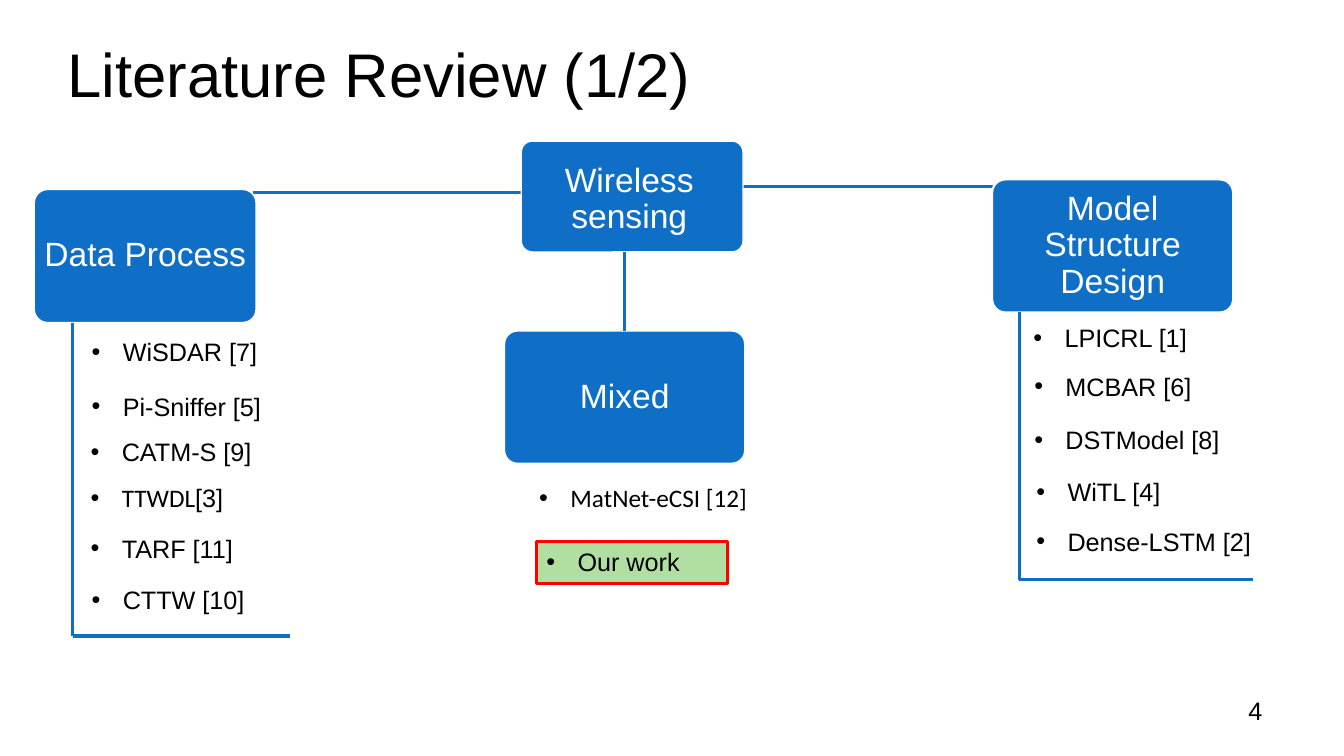
from lxml import etree
from pptx import Presentation
from pptx.dml.color import RGBColor
from pptx.enum.shapes import MSO_CONNECTOR, MSO_SHAPE
from pptx.enum.text import MSO_ANCHOR, MSO_AUTO_SIZE, PP_ALIGN
from pptx.oxml.ns import qn
from pptx.util import Inches, Pt

STRAIGHT = MSO_CONNECTOR.STRAIGHT
ROUNDED, RECTANGLE = MSO_SHAPE.ROUNDED_RECTANGLE, MSO_SHAPE.RECTANGLE
TOP, MIDDLE = MSO_ANCHOR.TOP, MSO_ANCHOR.MIDDLE
GROW = MSO_AUTO_SIZE.SHAPE_TO_FIT_TEXT
LEFT, CENTER, RIGHT = PP_ALIGN.LEFT, PP_ALIGN.CENTER, PP_ALIGN.RIGHT
BLUE, GREEN, RED, WHITE, BLACK = "0F6FC6", "B0DFA1", "FF0000", "FFFFFF", "000000"
BULLET_INDENT = Inches(0.31)
ITEM_HEIGHT = 0.4


def color(hex_value):
    return RGBColor.from_string(hex_value)


def add_run(paragraph, text, size, hex_value=BLACK, font="Arial"):
    run = paragraph.add_run()
    run.text = text
    run.font.name = font
    run.font.size = Pt(size)
    run.font.color.rgb = color(hex_value)


def add_text(slide, box, text, size, align=LEFT):
    frame = slide.shapes.add_textbox(*map(Inches, box)).text_frame
    frame.word_wrap = True
    frame.vertical_anchor = MIDDLE
    paragraph = frame.paragraphs[0]
    paragraph.alignment = align
    add_run(paragraph, text, size)
    return paragraph


def add_line(slide, start, end):
    line = slide.shapes.add_connector(STRAIGHT, *map(Inches, start + end))
    line.line.color.rgb = color(BLUE)
    line.line.width = Pt(2.25)
    etree.SubElement(line._element.spPr, qn("a:effectLst"))
    return line


def add_panel(slide, kind, box, fill, outline, outline_width):
    panel = slide.shapes.add_shape(kind, *map(Inches, box))
    panel.shadow.inherit = False
    panel.fill.solid()
    panel.fill.fore_color.rgb = color(fill)
    panel.line.color.rgb = color(outline)
    panel.line.width = Pt(outline_width)
    panel.text_frame.word_wrap = True
    return panel


def add_topic(slide, box, label, outline_width=1.0, insets=(0.04, 0.04, 0.04, 0.04)):
    topic = add_panel(slide, ROUNDED, box, BLUE, WHITE, outline_width)
    topic.adjustments[0] = 0.1
    frame = topic.text_frame
    frame.vertical_anchor = MIDDLE
    (frame.margin_left, frame.margin_top,
     frame.margin_right, frame.margin_bottom) = map(Inches, insets)
    paragraph = frame.paragraphs[0]
    paragraph.alignment = CENTER
    paragraph.line_spacing = 0.9
    add_run(paragraph, label, 24, WHITE)
    return topic


def write_bullet(frame, pieces):
    """Fill a frame with one bulleted paragraph of (text, font) pieces."""
    frame.word_wrap = True
    frame.auto_size = GROW
    frame.vertical_anchor = TOP
    paragraph = frame.paragraphs[0]
    paragraph.alignment = LEFT
    properties = paragraph._p.get_or_add_pPr()
    properties.set("marL", str(BULLET_INDENT))
    properties.set("indent", str(-BULLET_INDENT))
    etree.SubElement(properties, qn("a:buFont")).set("typeface", "Arial")
    etree.SubElement(properties, qn("a:buChar")).set("char", "•")
    for text, font in pieces:
        add_run(paragraph, text, 18, font=font)


def add_item(slide, left, top, width, *pieces):
    box = map(Inches, (left, top, width, ITEM_HEIGHT))
    write_bullet(slide.shapes.add_textbox(*box).text_frame, pieces)


def add_branch(slide, box, label, outline_width, rail, foot, items):
    """Topic with a rail below it; rail, foot and items are offsets from its corner."""
    left, top, width, height = box
    rail_left, rail_bottom = left + rail, top + foot[1]
    add_topic(slide, box, label, outline_width)
    add_line(slide, (rail_left, top + height), (rail_left, rail_bottom))
    add_line(slide, (rail_left, rail_bottom), (left + foot[0], rail_bottom))
    for item_left, item_top, *pieces in items:
        add_item(slide, left + item_left, top + item_top, 2.6, *pieces)


def add_root(slide, box):
    left, top, width, height = box
    add_line(slide, (2.51, top + 0.51), (left, top + 0.51))
    add_line(slide, (left + width, top + 0.45), (9.99, top + 0.45))
    add_topic(slide, box, "Wireless sensing", insets=(0.04, 0.08, 0.1, 0.02))


def add_mixed_branch(slide, box, root_bottom):
    left, top, width, height = box
    mixed = add_topic(slide, box, "Mixed", 1.5)
    stem_left = left + width / 2
    stem = add_line(slide, (stem_left, top), (stem_left, root_bottom))
    stem.begin_connect(mixed, 0)
    add_item(slide, left + 0.25, top + 1.46, 2.27, ("MatNet-eCSI [12]", "Calibri"))
    # Highlighted own contribution
    our_work = add_panel(slide, RECTANGLE, (left + 0.32, top + 2.09, 1.9, 0.42),
                         GREEN, RED, 2.25)
    write_bullet(our_work.text_frame, [("Our work", "Arial")])


def main():
    prs = Presentation()
    prs.slide_width, prs.slide_height = Inches(13.33), Inches(7.5)
    slide = prs.slides.add_slide(prs.slide_layouts[6])

    # Title and page number
    title = add_text(slide, (0.57, 0.04, 11.5, 1.45), "Literature Review (1/2)", 44)
    title.line_spacing = 0.9
    add_text(slide, (9.62, 6.85, 3, 0.4), "4", 18, RIGHT)

    # Tree of topics
    add_root(slide, (5.17, 1.4, 2.2, 1.1))
    add_branch(slide, (0.34, 1.88, 2.2, 1.32), "Data Process", 1, 0.38, (2.54, 4.43), [
        (0.47, 1.41, ("WiSDAR [7]", "Arial")),
        (0.47, 1.95, ("Pi-Sniffer [5]", "Arial")),
        (0.46, 2.4, ("CATM-S [9]", "Arial")),
        (0.46, 2.86, ("TTWDL", "Calibri"), ("[3]", "Arial")),
        (0.46, 3.36, ("TARF [11]", "Arial")),
        (0.47, 3.87, ("CTTW [10]", "Arial")),
    ])
    add_mixed_branch(slide, (5, 3.28, 2.39, 1.32), 2.5)
    add_branch(slide, (9.84, 1.78, 2.39, 1.32), "Model Structure Design", 1.5,
               0.27, (2.59, 3.97), [
        (0.31, 1.37, ("LPICRL [1]", "Arial")),
        (0.32, 1.85, ("MCBAR [6]", "Arial")),
        (0.32, 2.38, ("DSTModel [8]", "Arial")),
        (0.34, 2.9, ("WiTL [4]", "Arial")),
        (0.34, 3.39, ("Dense-LSTM [2]", "Arial")),
    ])

    prs.save("out.pptx")


if __name__ == "__main__":
    main()
